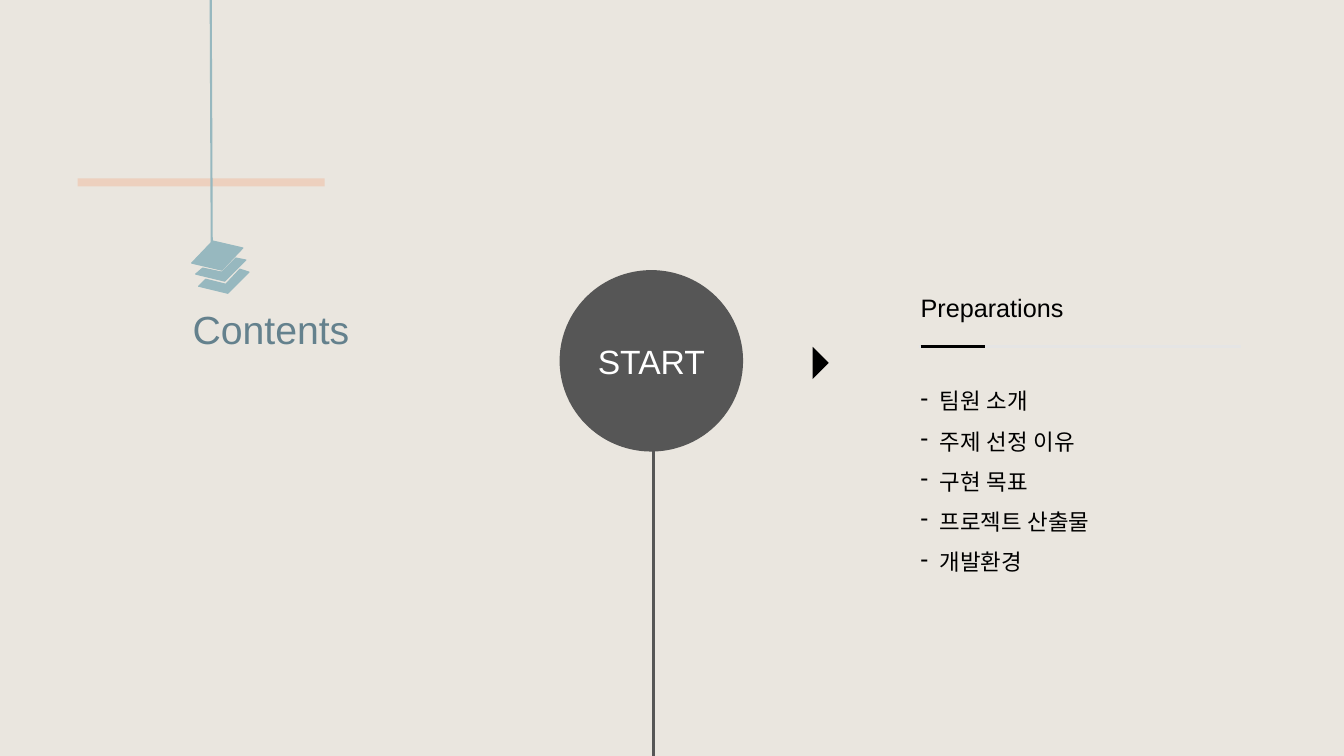
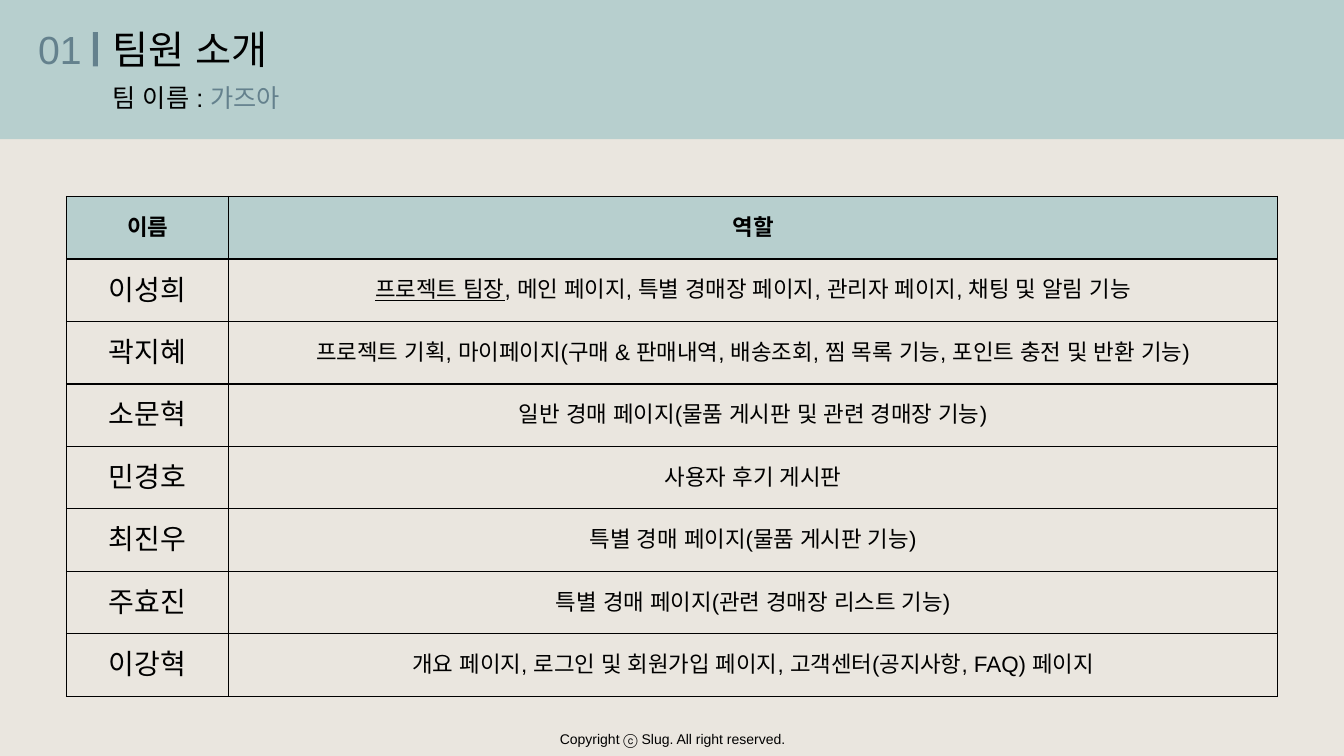
import pptx
import pptx.util
import pptx.dml.color
import pptx.enum.shapes
import pptx.enum.text
import pptx.oxml
import pptx.oxml.ns
import lxml.etree

RGB = pptx.dml.color.RGBColor
SHAPE = pptx.enum.shapes.MSO_SHAPE
ALIGN = pptx.enum.text.PP_ALIGN
ANCHOR = pptx.enum.text.MSO_ANCHOR
qn = pptx.oxml.ns.qn

# Shared style: 100 px to the inch
PX = 9144
WIDTH, HEIGHT = 1333, 750
FONT = "Arial"
CREAM = RGB(0xEA, 0xE6, 0xDF)
BLACK = RGB(0x00, 0x00, 0x00)
WHITE = RGB(0xFF, 0xFF, 0xFF)
GREY = RGB(0x56, 0x56, 0x56)
PALE = RGB(0xE5, 0xE5, 0xE5)
PEACH = RGB(0xED, 0xD0, 0xBE)
SLATE = RGB(0x64, 0x81, 0x8D)
TEAL = RGB(0x97, 0xB8, 0xBF)
MIST = RGB(0xB7, 0xCF, 0xCE)

TOPICS = ["팀원 소개", "주제 선정 이유", "구현 목표", "프로젝트 산출물", "개발환경"]
LAYERS = [
    [(211, 239), (241, 246), (220, 268), (190, 261)],
    [(201, 266), (220, 270), (234, 256), (244, 258), (223, 279), (194, 272)],
    [(204, 277), (224, 282), (238, 267), (247, 270), (226, 291), (197, 284)],
]
MEMBERS = [
    ("이성희", [("프로젝트 팀장", {"underline": True}),
             ", 메인 페이지, 특별 경매장 페이지, 관리자 페이지, 채팅 및 알림 기능"]),
    ("곽지혜", "프로젝트 기획, 마이페이지(구매 & 판매내역, 배송조회, 찜 목록 기능, "
            "포인트 충전 및 반환 기능)"),
    ("소문혁", "일반 경매 페이지(물품 게시판 및 관련 경매장 기능)"),
    ("민경호", "사용자 후기 게시판"),
    ("최진우", "특별 경매 페이지(물품 게시판 기능)"),
    ("주효진", "특별 경매 페이지(관련 경매장 리스트 기능)"),
    ("이강혁", "개요 페이지, 로그인 및 회원가입 페이지, 고객센터(공지사항, FAQ) 페이지"),
]


def px(*lengths):
    return [pptx.util.Emu(n * PX) for n in lengths]


def format_run(r, size, color, bold=False, underline=False):
    r.font.name = FONT
    r.font.size = pptx.util.Pt(size)
    r.font.color.rgb = color
    r.font.bold = bold
    r.font.underline = underline
    ea = lxml.etree.Element(qn("a:ea"), typeface=FONT)
    r.font.element.find(qn("a:latin")).addnext(ea) if hasattr(r.font, "element") \
        else r._r.rPr.find(qn("a:latin")).addnext(ea)


def add_bullet(p, indent=19):
    pPr = p._p.get_or_add_pPr()
    pPr.set("marL", str(indent * PX))
    pPr.set("indent", str(-indent * PX))
    lxml.etree.SubElement(pPr, qn("a:buChar"), char="-")


def write(tf, *paragraphs, size, color=BLACK, align=ALIGN.LEFT, bold=False,
          bullet=False, spacing=None):
    """Each paragraph is a string or a list of strings and (text, format) pairs."""
    for i, content in enumerate(paragraphs):
        p = tf.add_paragraph() if i else tf.paragraphs[0]
        if bullet:
            add_bullet(p)
        p.alignment = align
        if spacing:
            p.line_spacing = spacing
        for part in [content] if isinstance(content, str) else content:
            text, extra = (part, {}) if isinstance(part, str) else part
            r = p.add_run()
            r.text = text
            format_run(r, **{"size": size, "color": color, "bold": bold, **extra})


def set_frame(tf, inset, anchor=ANCHOR.TOP):
    tf.word_wrap = True
    tf.auto_size = pptx.enum.text.MSO_AUTO_SIZE.NONE
    tf.vertical_anchor = anchor
    tf.margin_left, tf.margin_top = tf.margin_right, tf.margin_bottom = px(*inset)


def add_text(s, box, *paragraphs, inset=(10, 5), **style):
    tf = s.shapes.add_textbox(*px(*box)).text_frame
    set_frame(tf, inset)
    write(tf, *paragraphs, **style)


def set_title(s, box, text, color):
    sp = s.shapes.title
    sp.left, sp.top, sp.width, sp.height = px(*box)
    set_frame(sp.text_frame, (10, 5))
    write(sp.text_frame, text, size=28, color=color)
    sp.element.getparent().append(sp.element)  # in front of the band


def paint(sp, color):
    sp.shadow.inherit = False
    sp.fill.solid()
    sp.fill.fore_color.rgb = color
    sp.line.fill.background()


def add_block(s, box, color, kind=SHAPE.RECTANGLE):
    sp = s.shapes.add_shape(kind, *px(*box))
    paint(sp, color)
    return sp


def add_polygon(s, points, color, outlined=False):
    builder = s.shapes.build_freeform(*points[0], scale=PX)
    builder.add_line_segments(points[1:], close=True)
    sp = builder.convert_to_shape()
    paint(sp, color)
    if outlined:
        sp.line.color.rgb = color
        sp.line.width = pptx.util.Pt(0.75)


def add_line(s, ends, color, width=2):
    line = s.shapes.add_connector(pptx.enum.shapes.MSO_CONNECTOR.STRAIGHT, *px(*ends))
    line.line.color.rgb = color
    line.line.width = pptx.util.Pt(width)
    lxml.etree.SubElement(line.element.spPr, qn("a:effectLst"))


def set_borders(cell, color=BLACK, width=1):
    tcPr = cell._tc.get_or_add_tcPr()
    for i, side in enumerate(("lnL", "lnR", "lnT", "lnB")):
        ln = lxml.etree.Element(qn("a:" + side), w=str(pptx.util.Pt(width)))
        fill = lxml.etree.SubElement(ln, qn("a:solidFill"))
        lxml.etree.SubElement(fill, qn("a:srgbClr"), val=str(color))
        tcPr.insert(i, ln)


def add_member_table(s, left, top, widths, row_height):
    rows = [("이름", "역할")] + MEMBERS
    frame = s.shapes.add_table(len(rows), len(widths), *px(
        left, top, sum(widths), row_height * len(rows)))
    table = frame.table
    table.first_row = table.horz_banding = False
    for column, width in zip(table.columns, px(*widths)):
        column.width = width
    for i, row in enumerate(rows):
        for j, content in enumerate(row):
            cell = table.cell(i, j)
            cell.vertical_anchor = ANCHOR.MIDDLE
            cell.margin_top, cell.margin_bottom = px(10, 10)
            header = i == 0
            if header:
                cell.fill.solid()
                cell.fill.fore_color.rgb = MIST
            else:
                cell.fill.background()
            set_borders(cell)
            write(cell.text_frame, content, size=16 if header or j else 20,
                  align=ALIGN.CENTER, bold=header)


def add_contents_slide(prs):
    s = prs.slides.add_slide(prs.slide_layouts[5])
    # Start circle on its stem
    add_line(s, (648, 353, 648, HEIGHT), GREY)
    circle = add_block(s, (555, 268, 182, 180), GREY, SHAPE.OVAL)
    set_frame(circle.text_frame, (4, 4), ANCHOR.MIDDLE)
    write(circle.text_frame, "START", size=24, color=WHITE, align=ALIGN.CENTER)
    # Topic list
    add_text(s, (909, 286, 355, 46), "Preparations", size=18, inset=(4, 4))
    add_text(s, (909, 367, 345, 210), *TOPICS, size=16, inset=(4, 4),
             bullet=True, spacing=1.5)
    add_line(s, (912, 344, 1231, 344), PALE)
    add_line(s, (913, 344, 977, 344), BLACK)
    add_polygon(s, [(806, 376), (822, 360), (806, 344)], BLACK)
    # Heading with hanging stack of layers
    add_block(s, (77, 177, 245, 8), PEACH)
    set_title(s, (181, 298, 220, 57), "Contents", SLATE)
    for layer in LAYERS:
        add_polygon(s, layer, TEAL, outlined=True)
    add_line(s, (209, 0, 210, 244), TEAL, width=1.5)


def add_team_slide(prs):
    s = prs.slides.add_slide(prs.slide_layouts[5])
    # Footer and table
    add_text(s, (494, 720, 346, 27), "Copyright ⓒ Slug. All right reserved.",
             size=10, align=ALIGN.CENTER)
    add_member_table(s, 66, 195, (161, 1040), 62)
    # Header band
    add_block(s, (0, 0, WIDTH, 138), MIST)
    add_text(s, (28, 20, 74, 57), "01", size=28, color=SLATE)
    set_title(s, (102, 20, 295, 57), "팀원 소개", BLACK)
    add_block(s, (92, 32, 5, 34), SLATE)
    add_text(s, (102, 77, 276, 40), ["팀 이름 : ", ("가즈아", {"color": SLATE})], size=18)


def main():
    prs = pptx.Presentation()
    prs.slide_width, prs.slide_height = px(WIDTH, HEIGHT)
    fill = prs.slide_master.background.fill
    fill.solid()
    fill.fore_color.rgb = CREAM
    add_contents_slide(prs)
    add_team_slide(prs)
    prs.save("out.pptx")


if __name__ == "__main__":
    main()
